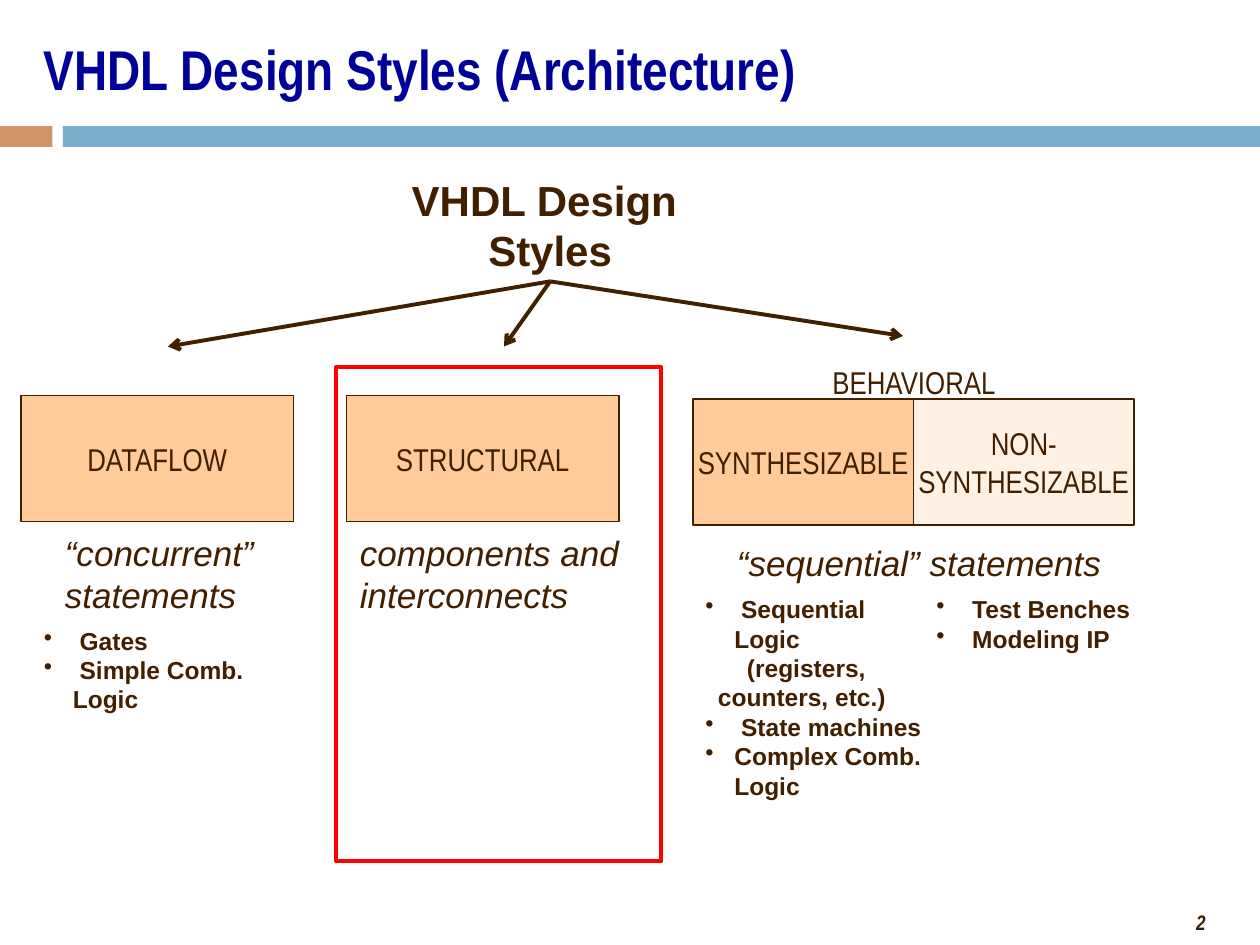
from dataclasses import dataclass
from typing import Optional

from lxml.etree import SubElement
from pptx import Presentation
from pptx.dml.color import RGBColor
from pptx.enum.shapes import MSO_CONNECTOR, MSO_SHAPE
from pptx.enum.text import MSO_ANCHOR, PP_ALIGN
from pptx.oxml.ns import qn
from pptx.util import Inches, Pt

BROWN = RGBColor(0x40, 0x20, 0x00)
NAVY = RGBColor(0x00, 0x00, 0x99)
ORANGE = RGBColor(0xFF, 0xCC, 0x99)
CREAM = RGBColor(0xFF, 0xF1, 0xE3)
TAN = RGBColor(0xCF, 0x94, 0x67)
BLUE = RGBColor(0x7A, 0xAD, 0xCC)
RED = RGBColor(0xFF, 0x00, 0x00)

CELL = Inches(1) // 12  # the slide is a grid of 120 columns by 90 rows
COLS, ROWS = 120, 90
HANG = Inches(0.23)
SPACE = Inches(0.05)  # width of one blank at the bullet size


@dataclass(frozen=True)
class Area:
    """Place on the grid: column, row, columns wide, rows high."""
    col: float
    row: float
    cols: float
    rows: float

    def emu(self) -> list[int]:
        return [round(n * CELL) for n in (self.col, self.row, self.cols, self.rows)]


@dataclass(frozen=True)
class Style:
    size: int
    font: str = "Arial"
    color: RGBColor = BROWN
    bold: bool = False
    italic: bool = False


@dataclass(frozen=True)
class Box:
    area: Area
    label: str = ""
    fill: Optional[RGBColor] = None
    line: Optional[RGBColor] = BROWN
    weight: float = 0.75


@dataclass(frozen=True)
class Text:
    area: Area
    lines: tuple[str, ...]
    style: Style
    align: PP_ALIGN = PP_ALIGN.LEFT
    wrap: bool = False
    anchor: MSO_ANCHOR = MSO_ANCHOR.TOP


@dataclass(frozen=True)
class Item:
    """A list line; one without a bullet is set in by a number of blanks."""
    text: str
    bullet: bool = True
    margin: int = HANG


TITLE = Style(32, "Arial Narrow", NAVY, bold=True)
ROOT = Style(24, bold=True)
LABEL = Style(18, "Arial Narrow")
CAPTION = Style(20, italic=True)
BULLET = Style(14, bold=True)
NUMBER = Style(12, "Arial Narrow", bold=True, italic=True)

BARS = (
    Box(Area(0, 12, 5, 2), fill=TAN, line=None),
    Box(Area(6, 12, COLS - 6, 2), fill=BLUE, line=None),
)
STYLE_BOXES = (
    Box(Area(2, 37.7, 25.95, 12), "DATAFLOW", ORANGE),
    Box(Area(33, 37.7, 25.95, 12), "STRUCTURAL", ORANGE),
    Box(Area(87, 38, 21, 12), "NON-\nSYNTHESIZABLE", CREAM),
    Box(Area(66, 38, 21, 12), "SYNTHESIZABLE", ORANGE),
)
HIGHLIGHT = Box(Area(32, 35, 31, 47), line=RED, weight=2.25)

TEXTS = (
    Text(Area(3, -1, 110, 15), ("VHDL Design Styles (Architecture)",), TITLE,
         wrap=True, anchor=MSO_ANCHOR.MIDDLE),
    Text(Area(38, 16, 28.8, 10.8), ("VHDL Design ", "Styles"), ROOT, PP_ALIGN.CENTER),
    Text(Area(5, 50, 21.4, 9.2), ("“concurrent”", "statements"), CAPTION),
    Text(Area(33.1, 50, 27.1, 9.2), ("components and", "interconnects"), CAPTION),
    Text(Area(69, 51, 37.1, 5.3), ("“sequential” statements",), CAPTION),
    Text(Area(78, 34, 18.1, 4.8), ("BEHAVIORAL",), LABEL, PP_ALIGN.CENTER),
    Text(Area(90, ROWS - 4, 26, 3.6), ("2",), NUMBER, PP_ALIGN.RIGHT, wrap=True),
)
LISTS = (
    (Area(3, 59, 23, 9.6), (Item(" Gates"), Item(" Simple Comb. Logic"))),
    (Area(66, 56, 23, 20.9), (
        Item(" Sequential Logic"),
        Item("(registers,", False, HANG + 2 * SPACE),
        Item("counters, etc.)", False, 2 * SPACE),
        Item(" State machines"),
        Item("Complex Comb. Logic"),
    )),
    (Area(88, 56, 22, 6.8), (Item(" Test Benches"), Item(" Modeling IP"))),
)
FORK = (52.4, 26.8)
ARROW_TIPS = ((16, 33), (48, 33), (86, 32))


def add_run(p, text: str, style: Style) -> None:
    r = p.add_run()
    r.text = text
    f = r.font
    f.size, f.name = Pt(style.size), style.font
    f.bold, f.italic = style.bold, style.italic
    f.color.rgb = style.color


def add_box(s, box: Box) -> None:
    sp = s.shapes.add_shape(MSO_SHAPE.RECTANGLE, *box.area.emu())
    sp.shadow.inherit = False
    if box.fill is None:
        sp.fill.background()
    else:
        sp.fill.solid()
        sp.fill.fore_color.rgb = box.fill
    if box.line is None:
        sp.line.fill.background()
    else:
        sp.line.color.rgb = box.line
        sp.line.width = Pt(box.weight)
    if box.label:
        tf = sp.text_frame
        tf.word_wrap = False
        tf.vertical_anchor = MSO_ANCHOR.MIDDLE
        p = tf.paragraphs[0]
        p.alignment = PP_ALIGN.CENTER
        for i, part in enumerate(box.label.split("\n")):
            if i:
                p.add_line_break()
            add_run(p, part, LABEL)


def add_frame(s, area: Area, count: int, wrap: bool):
    """Add a text box and return its frame, holding count paragraphs."""
    tf = s.shapes.add_textbox(*area.emu()).text_frame
    tf.word_wrap = wrap
    for _ in range(count - 1):
        tf.add_paragraph()
    return tf


def add_text(s, text: Text) -> None:
    tf = add_frame(s, text.area, len(text.lines), text.wrap)
    tf.vertical_anchor = text.anchor
    for p, line in zip(tf.paragraphs, text.lines):
        p.alignment = text.align
        add_run(p, line, text.style)


def add_list(s, area: Area, items: tuple[Item, ...]) -> None:
    tf = add_frame(s, area, len(items), True)
    for p, item in zip(tf.paragraphs, items):
        pPr = p._p.get_or_add_pPr()
        pPr.set("marL", str(item.margin))
        pPr.set("indent", str(-HANG if item.bullet else 0))
        if item.bullet:
            color = SubElement(pPr, qn("a:buClr"))
            SubElement(color, qn("a:srgbClr"), val=str(BROWN))
            SubElement(pPr, qn("a:buChar"), char="•")
        add_run(p, item.text, BULLET)


def add_arrow(s, start: tuple[float, float], end: tuple[float, float]) -> None:
    ends = [round(n * CELL) for n in (*start, *end)]
    cx = s.shapes.add_connector(MSO_CONNECTOR.STRAIGHT, *ends)
    cx.line.color.rgb = BROWN
    cx.line.width = Pt(2.25)
    SubElement(cx.line._get_or_add_ln(), qn("a:tailEnd"), type="arrow")
    SubElement(cx._element.spPr, qn("a:effectLst"))


def main() -> None:
    prs = Presentation()
    prs.slide_width, prs.slide_height = COLS * CELL, ROWS * CELL
    s = prs.slides.add_slide(prs.slide_layouts[6])
    for box in BARS + STYLE_BOXES:
        add_box(s, box)
    for text in TEXTS:
        add_text(s, text)
    for area, items in LISTS:
        add_list(s, area, items)
    for tip in ARROW_TIPS:
        add_arrow(s, FORK, tip)
    add_box(s, HIGHLIGHT)
    prs.save("out.pptx")


if __name__ == "__main__":
    main()
